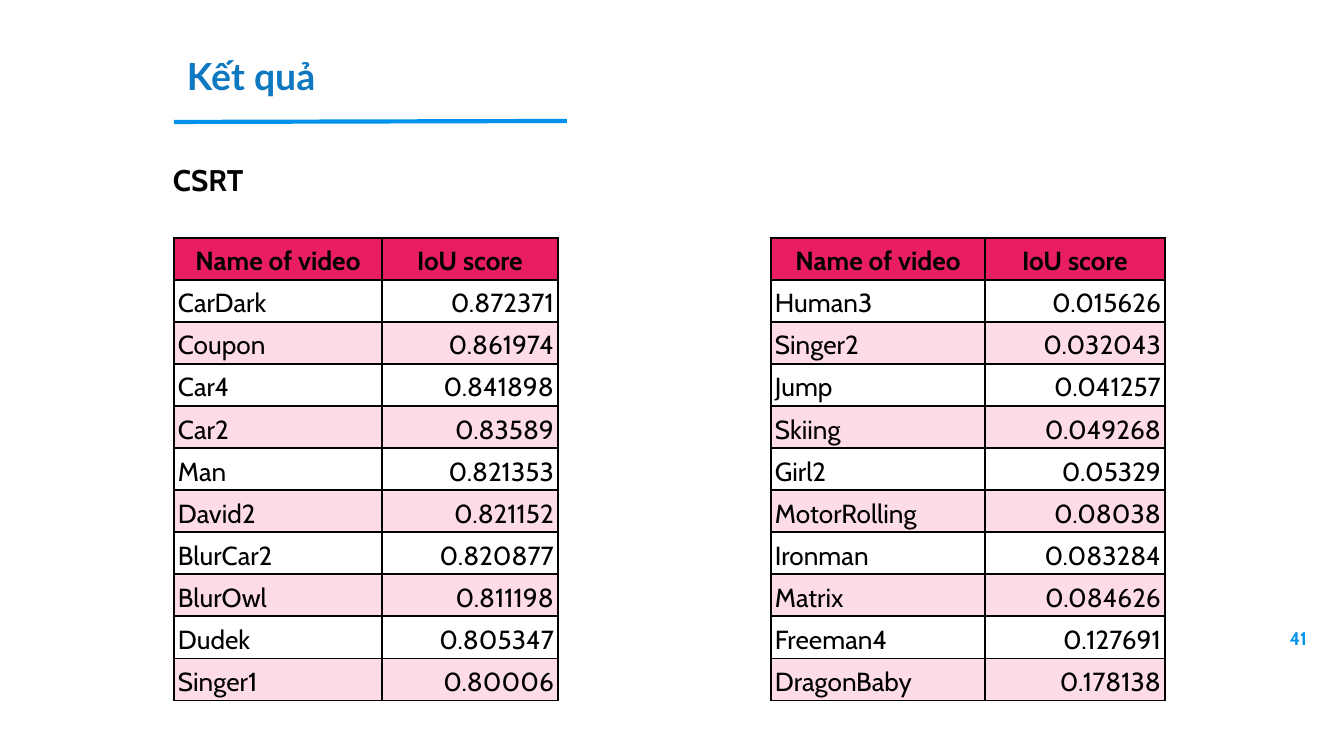
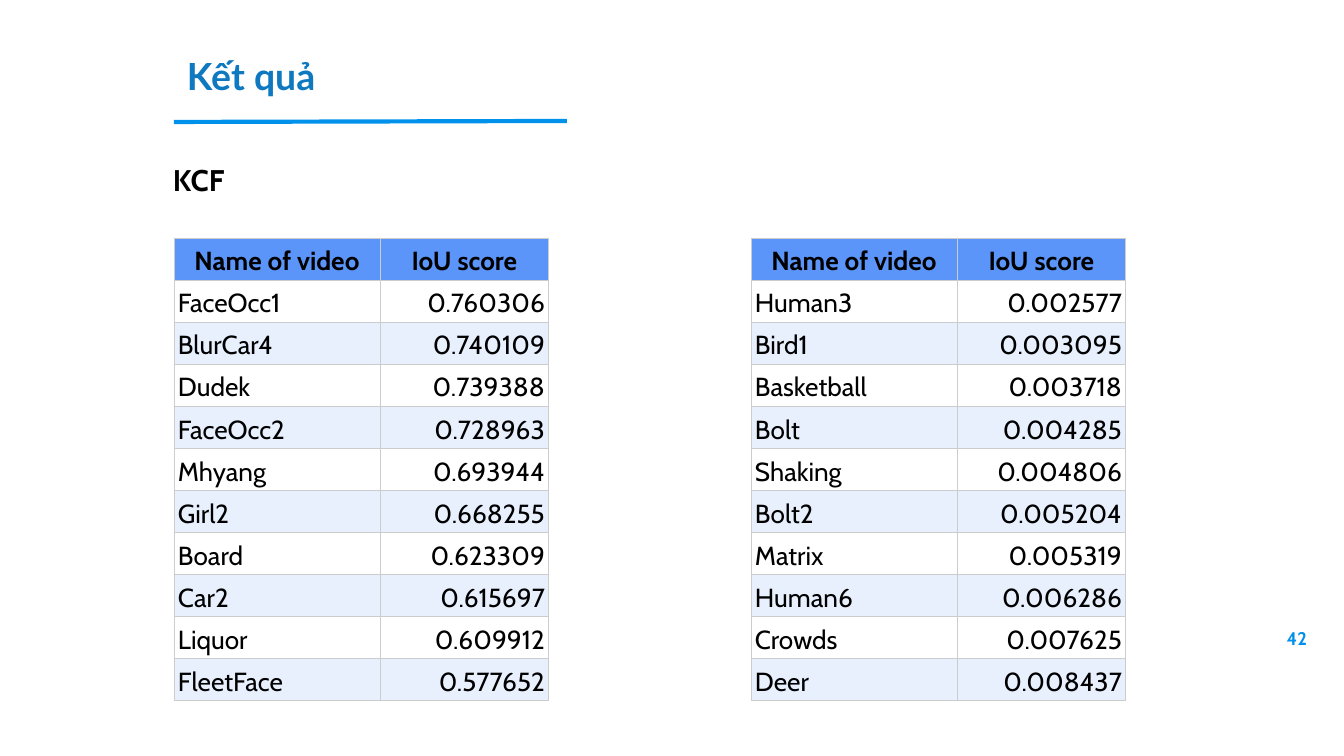
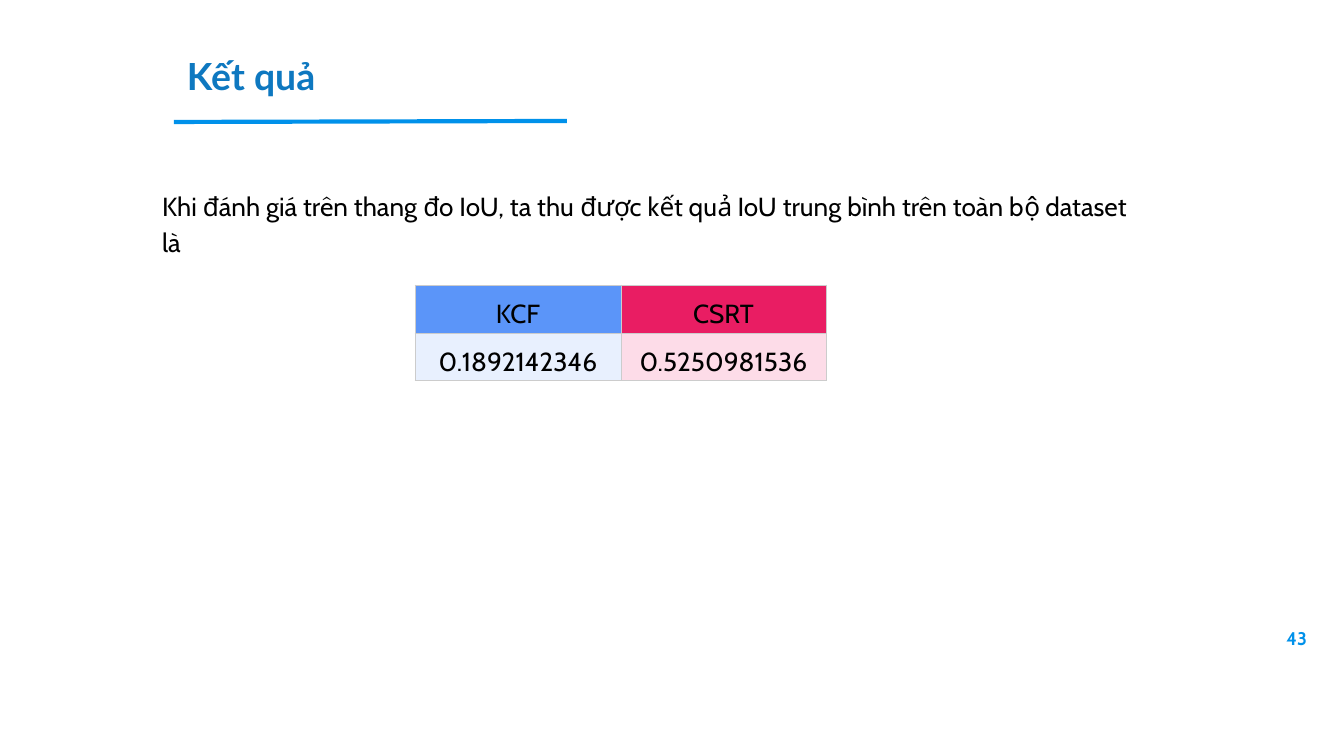
"""Build three result slides comparing IoU scores of the CSRT and KCF trackers."""
from lxml.etree import SubElement
from pptx import Presentation
from pptx.dml.color import RGBColor
from pptx.enum.shapes import MSO_CONNECTOR
from pptx.enum.text import MSO_ANCHOR, MSO_AUTO_SIZE, PP_ALIGN
from pptx.oxml.ns import qn
from pptx.util import Emu, Pt

COLORS = {
    "accent": "0091EA", "title": "0E78C0", "text": "000000", "white": "FFFFFF", "grid": "CCCCCC",
    "csrt_head": "E91D63", "csrt_band": "FDDCE8", "kcf_head": "5B95F9", "kcf_band": "E8F0FE",
}
FORMATS = {
    "number": {"name": "Cabin", "size": Pt(9.8), "bold": True},
    "title": {"name": "Lato", "size": Pt(20), "bold": True},
    "heading": {"name": "Cabin", "size": Pt(16), "bold": True},
    "head_cell": {"name": "Cabin", "size": Pt(14), "bold": True},
    "plain": {"name": "Cabin", "size": Pt(14), "bold": False},
}
FRAME = {"word_wrap": True, "vertical_anchor": MSO_ANCHOR.TOP}
CELL = {"vertical_anchor": MSO_ANCHOR.BOTTOM}
LEFT, CENTER, RIGHT = PP_ALIGN.LEFT, PP_ALIGN.CENTER, PP_ALIGN.RIGHT
HEADER = ("Name of video", "IoU score")
SUMMARY = "Khi đánh giá trên thang đo IoU, ta thu được kết quả IoU trung bình trên toàn bộ dataset là"

CSRT_BEST = [
    ("CarDark", "0.872371"), ("Coupon", "0.861974"), ("Car4", "0.841898"), ("Car2", "0.83589"),
    ("Man", "0.821353"), ("David2", "0.821152"), ("BlurCar2", "0.820877"), ("BlurOwl", "0.811198"),
    ("Dudek", "0.805347"), ("Singer1", "0.80006"),
]
CSRT_WORST = [
    ("Human3", "0.015626"), ("Singer2", "0.032043"), ("Jump", "0.041257"), ("Skiing", "0.049268"),
    ("Girl2", "0.05329"), ("MotorRolling", "0.08038"), ("Ironman", "0.083284"), ("Matrix", "0.084626"),
    ("Freeman4", "0.127691"), ("DragonBaby", "0.178138"),
]
KCF_BEST = [
    ("FaceOcc1", "0.760306"), ("BlurCar4", "0.740109"), ("Dudek", "0.739388"), ("FaceOcc2", "0.728963"),
    ("Mhyang", "0.693944"), ("Girl2", "0.668255"), ("Board", "0.623309"), ("Car2", "0.615697"),
    ("Liquor", "0.609912"), ("FleetFace", "0.577652"),
]
KCF_WORST = [
    ("Human3", "0.002577"), ("Bird1", "0.003095"), ("Basketball", "0.003718"), ("Bolt", "0.004285"),
    ("Shaking", "0.004806"), ("Bolt2", "0.005204"), ("Matrix", "0.005319"), ("Human6", "0.006286"),
    ("Crowds", "0.007625"), ("Deer", "0.008437"),
]
AVERAGES = [("KCF", "CSRT"), ("0.1892142346", "0.5250981536")]

SCORES = {"top": 238, "height": 434, "row": 31, "format": "head_cell", "aligns": (LEFT, RIGHT)}
CSRT = {**SCORES, "grid": "text", "line": 0.75, "heads": ["csrt_head"] * 2, "bands": ["csrt_band"] * 2}
KCF = {**SCORES, "grid": "grid", "line": 0.6, "heads": ["kcf_head"] * 2, "bands": ["kcf_band"] * 2}
MEAN = {"top": 285, "height": 96, "row": 48, "format": "plain", "aligns": (CENTER, CENTER),
        "grid": "grid", "line": 0.6, "heads": ["kcf_head", "csrt_head"], "bands": ["kcf_band", "csrt_band"]}
PAGES = [
    {"number": "41", "text": "CSRT", "format": "heading", "at": (160, 149, 937, 63), "spacing": 1.0,
     "tables": [(CSRT, 174, (208, 176), [HEADER] + CSRT_BEST),
                (CSRT, 771, (214, 180), [HEADER] + CSRT_WORST)]},
    {"number": "42", "text": "KCF", "format": "heading", "at": (160, 149, 937, 63), "spacing": 1.0,
     "tables": [(KCF, 174, (206, 169), [HEADER] + KCF_BEST),
                (KCF, 751, (206, 169), [HEADER] + KCF_WORST)]},
    {"number": "43", "text": SUMMARY, "format": "plain", "at": (149, 173, 1011, 59), "spacing": 1.15,
     "tables": [(MEAN, 415, (206, 205), AVERAGES)]},
]


def px(length):
    """Turn whole pixels into EMU."""
    return Emu(round(length * 914400 / 134.4))


def write(para, text, style, color="text", align=LEFT, spacing=1.0):
    """Fill a paragraph with one formatted span."""
    para.alignment, para.line_spacing = align, spacing
    span = para.add_run()
    span.text = text
    for key, value in FORMATS[style].items():
        setattr(span.font, key, value)
    span.font.color.rgb = RGBColor.from_string(COLORS[color])


deck = Presentation()
deck.slide_width, deck.slide_height = px(1344), px(756)

for content in PAGES:
    page = deck.slides.add_slide(deck.slide_layouts[5])
    page.background.fill.solid()
    page.background.fill.fore_color.rgb = RGBColor.from_string(COLORS["white"])

    number = page.shapes.add_textbox(px(1235), px(618), px(81), px(43))
    rule = page.shapes.add_connector(MSO_CONNECTOR.STRAIGHT, px(174), px(122), px(567), px(121))
    rule.line.color.rgb = RGBColor.from_string(COLORS["accent"])
    rule.line.width = Pt(2.25)
    SubElement(rule.element.spPr, qn("a:effectLst"))

    title = page.shapes.title
    title.left, title.top, title.width, title.height = px(174), px(40), px(892), px(73)
    body = page.shapes.add_textbox(*map(px, content["at"]))

    for box, inset, fit in ((number, 9, MSO_AUTO_SIZE.NONE),
                            (title, 13, MSO_AUTO_SIZE.SHAPE_TO_FIT_TEXT),
                            (body, 13, MSO_AUTO_SIZE.SHAPE_TO_FIT_TEXT)):
        for key, value in FRAME.items():
            setattr(box.text_frame, key, value)
        for side in ("left", "top", "right", "bottom"):
            setattr(box.text_frame, f"margin_{side}", px(inset))
        box.text_frame.auto_size = fit

    write(number.text_frame.paragraphs[0], content["number"], "number", "accent", RIGHT)
    write(title.text_frame.paragraphs[0], "Kết quả", "title", "title")
    write(body.text_frame.paragraphs[0], content["text"], content["format"], spacing=content["spacing"])

    for look, left, widths, rows in content["tables"]:
        holder = page.shapes.add_table(len(rows), len(widths), px(left), px(look["top"]),
                                       px(sum(widths)), px(look["height"]))
        table = holder.table
        table.horz_banding = False
        for column, width in zip(table.columns, widths):
            column.width = px(width)
        for row in table.rows:
            row.height = px(look["row"])
        holder.height = px(look["height"])

        for r, values in enumerate(rows):
            for c, value in enumerate(values):
                cell = table.cell(r, c)
                for key, setting in CELL.items():
                    setattr(cell, key, setting)
                cell.margin_left = cell.margin_right = px(4)
                cell.margin_top = cell.margin_bottom = px(3)
                properties = cell._tc.get_or_add_tcPr()
                for edge in ("a:lnL", "a:lnR", "a:lnT", "a:lnB"):
                    border = SubElement(properties, qn(edge), w=str(Pt(look["line"])))
                    paint = SubElement(border, qn("a:solidFill"))
                    SubElement(paint, qn("a:srgbClr"), val=COLORS[look["grid"]])
                if r == 0:
                    fill, style, align = look["heads"][c], look["format"], CENTER
                else:
                    fill = look["bands"][c] if r % 2 == 0 or look is MEAN else "white"
                    style, align = "plain", look["aligns"][c]
                cell.fill.solid()
                cell.fill.fore_color.rgb = RGBColor.from_string(COLORS[fill])
                write(cell.text_frame.paragraphs[0], value, style, align=align, spacing=1.15)

deck.save("out.pptx")
